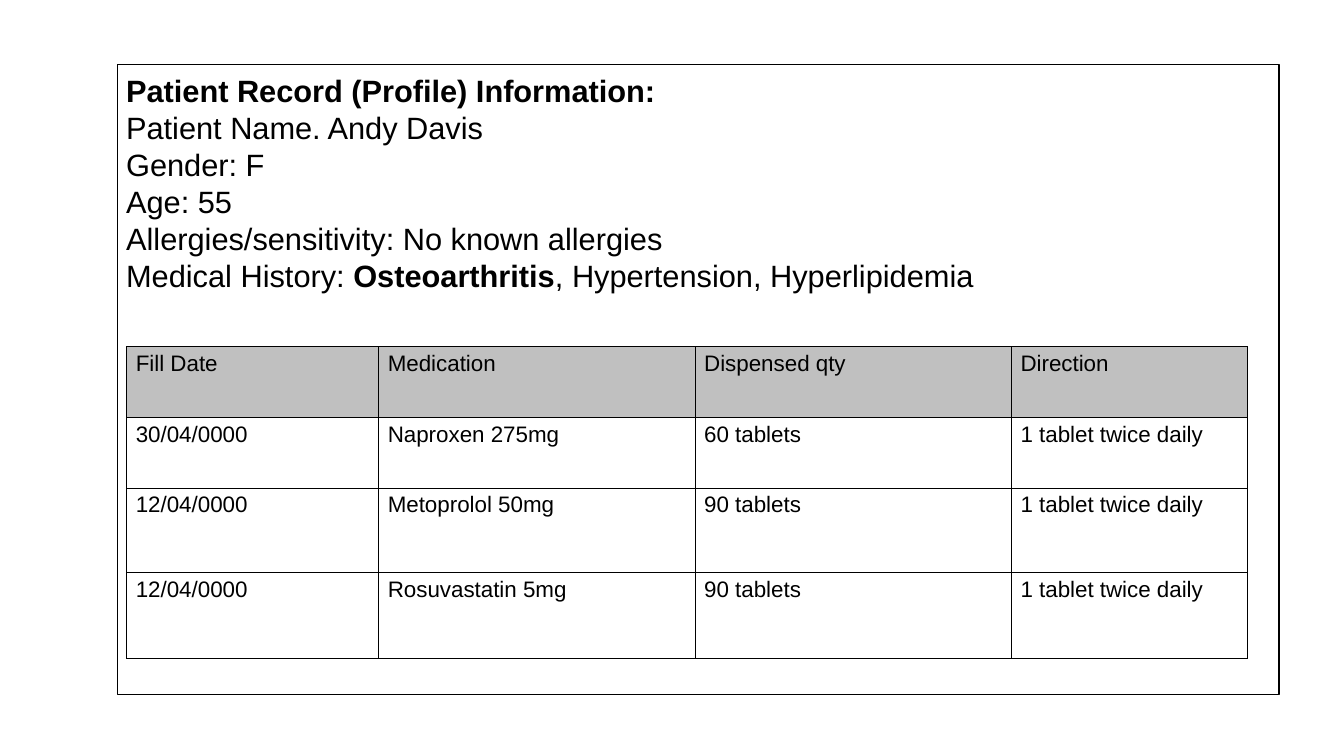
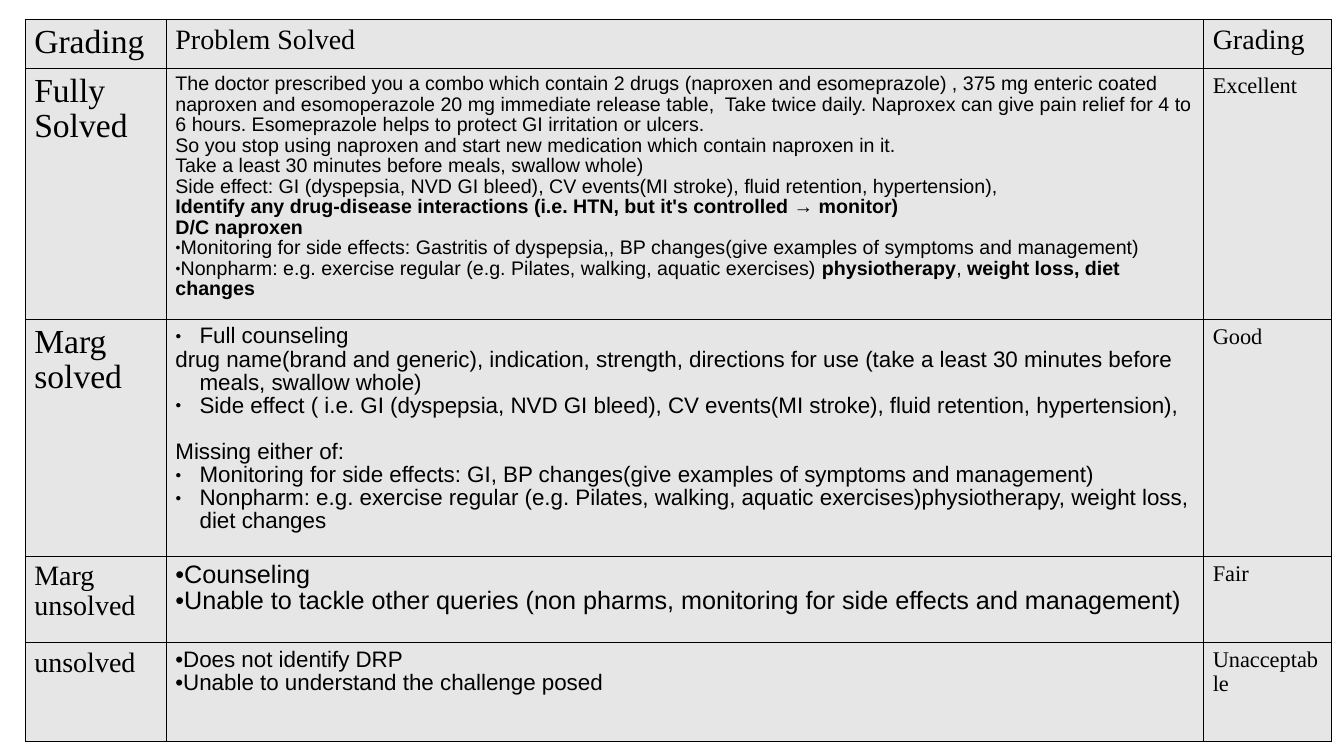
"""Build a patient record slide and a grading table slide."""
import lxml.etree
import pptx
import pptx.dml.color
import pptx.enum.text
import pptx.oxml.ns
import pptx.util

Pt = pptx.util.Pt
BLACK, GREY, PALE, WHITE = "000000", "C0C0C0", "E6E6E6", "FFFFFF"
SANS, SERIF = "Arial", "Times New Roman"
BULLETS = {"●": "45000", "•": "100000"}
CELL = {"margin_left": Pt(6.5), "margin_right": Pt(6.5),
        "margin_top": Pt(4.6), "margin_bottom": Pt(3.6)}
FRAME = {"margin_left": Pt(6.5), "margin_right": Pt(6.5),
         "margin_top": Pt(5), "margin_bottom": Pt(3), "word_wrap": True,
         "auto_size": pptx.enum.text.MSO_AUTO_SIZE.NONE,
         "vertical_anchor": pptx.enum.text.MSO_ANCHOR.TOP}
LINE = 26.4

RECORD = ["Patient Name. Andy Davis", "Gender: F", "Age: 55",
          "Allergies/sensitivity: No known allergies",
          "Medical History: **Osteoarthritis**, Hypertension, Hyperlipidemia"]
FILLS = [
    ["Fill Date", "Medication", "Dispensed qty", "Direction"],
    ["30/04/0000", "Naproxen 275mg", "60 tablets", "1 tablet twice daily"],
    ["12/04/0000", "Metoprolol 50mg", "90 tablets", "1 tablet twice daily"],
    ["12/04/0000", "Rosuvastatin 5mg", "90 tablets", "1 tablet twice daily"],
]
FULL = [
    "The doctor prescribed you a combo which contain 2 drugs (naproxen and esomeprazole) , "
    "375 mg enteric coated naproxen and esomoperazole 20 mg immediate release table,  "
    "Take twice daily. Naproxex can give pain relief for 4 to 6 hours. "
    "Esomeprazole helps to protect GI irritation or ulcers.",
    "So you stop using naproxen and start new medication which contain naproxen in it.",
    "Take a least 30 minutes before meals, swallow whole)",
    "Side effect: GI (dyspepsia, NVD GI bleed), CV events(MI stroke), "
    "fluid retention, hypertension),",
    "**Identify any drug-disease interactions (i.e. HTN, but it's controlled → monitor)**",
    "**D/C naproxen**",
    "●Monitoring for side effects: Gastritis of dyspepsia,, "
    "BP changes(give examples of symptoms and management)",
    "●Nonpharm: e.g. exercise regular (e.g. Pilates, walking, aquatic exercises) "
    "**physiotherapy**, **weight loss, diet changes**",
]
MARG = [
    "●Full counseling",
    "drug name(brand and generic), indication, strength, directions for use "
    "(take a least 30 minutes before meals, swallow whole)",
    "●Side effect ( i.e. GI (dyspepsia, NVD GI bleed), CV events(MI stroke), "
    "fluid retention, hypertension),",
    "Missing either of:",
    "●Monitoring for side effects: GI, BP changes(give examples of symptoms and management)",
    "●Nonpharm: e.g. exercise regular (e.g. Pilates, walking, aquatic exercises)"
    "physiotherapy, weight loss, diet changes",
]
FAIR = ["•Counseling",
        "•Unable to tackle other queries (non pharms, monitoring for side effects "
        "and management)"]
POOR = ["•Does not identify DRP", "•Unable to understand the challenge posed"]
GRADES = [
    (24, ["Fully Solved"], 14, FULL, 0, "Excellent"),
    (24, ["Marg", "solved"], 16, MARG, 17.28, "Good"),
    (20, ["Marg", "unsolved"], 18, FAIR, 0, "Fair"),
    (20, ["unsolved"], 16, POOR, 0, "Unacceptable"),
]


def color(code):
    """Turn a hex string into a colour."""
    return pptx.dml.color.RGBColor.from_string(code)


def assign(item, form):
    """Set each format value on the item."""
    for key, value in form.items():
        setattr(item, key, value)


def node(base, tag, **attrs):
    """Append a drawing element to the base."""
    return lxml.etree.SubElement(base, pptx.oxml.ns.qn("a:" + tag), attrs)


def mark(para, sign, hang):
    """Give the paragraph its indent and its bullet, if any."""
    props = para._p.get_or_add_pPr()
    props.set("marL", str(Pt(hang)))
    props.set("indent", str(-Pt(hang)))
    if sign:
        node(node(props, "buClr"), "srgbClr", val=BLACK)
        node(props, "buSzPct", val=BULLETS[sign])
        node(props, "buFont", typeface=SANS)
        node(props, "buChar", char=sign)
    else:
        node(props, "buNone")


def write(frame, lines, size, face, space, hang=0, bold=False):
    """Fill a frame with lines, where ** toggles bold and a lead sign is a bullet."""
    for num, line in enumerate(lines):
        para = frame.paragraphs[0] if num == 0 else frame.add_paragraph()
        assign(para, {"line_spacing": space, "space_before": Pt(0),
                      "alignment": pptx.enum.text.PP_ALIGN.LEFT})
        sign = line[0] if line[0] in BULLETS else ""
        mark(para, sign, hang)
        for odd, piece in enumerate(line[len(sign):].split("**")):
            if piece:
                run = para.add_run()
                run.text = piece
                assign(run.font, {"size": Pt(size), "name": face,
                                  "bold": bold or odd % 2 == 1})
                run.font.color.rgb = color(BLACK)


def place(holder, left, top, width, height):
    """Move a placeholder and prepare its text frame."""
    assign(holder, {"left": Pt(left), "top": Pt(top),
                    "width": Pt(width), "height": Pt(height)})
    assign(holder.text_frame, FRAME)
    return holder


def grid(slide, left, top, cols, rows):
    """Add a table with the given column widths and row heights."""
    table = slide.shapes.add_table(len(rows), len(cols), Pt(left), Pt(top),
                                   Pt(sum(cols)), Pt(sum(rows))).table
    table.horz_banding = False
    for col, width in zip(table.columns, cols):
        col.width = Pt(width)
    for row, height in zip(table.rows, rows):
        row.height = Pt(height)
    return table


def fill(cell, lines, size, face, back, hang=0):
    """Write, border and fill one cell."""
    assign(cell, CELL)
    props = cell._tc.get_or_add_tcPr()
    for side in ("lnL", "lnR", "lnT", "lnB"):
        edge = node(props, side, w=str(Pt(0.57)))
        node(node(edge, "solidFill"), "srgbClr", val=BLACK)
    cell.fill.solid()
    cell.fill.fore_color.rgb = color(back)
    space = 0.93 if face == SANS else 0.95
    write(cell.text_frame, lines, size, face, space, hang)


def record(deck):
    """Add the patient record slide."""
    slide = deck.slides.add_slide(deck.slide_layouts[1])
    left, top, width = 83.6, 46.2, 830
    title = place(slide.shapes.title, left, top, width, LINE + 8)
    write(title.text_frame, ["Patient Record (Profile) Information:"],
          22, SANS, Pt(LINE), bold=True)
    body = place(slide.placeholders[1], left, top, width, 450)
    body.line.color.rgb = color(BLACK)
    body.line.width = Pt(0.75)
    body.text_frame.margin_top = Pt(5 + LINE)
    write(body.text_frame, RECORD, 22, SANS, Pt(LINE))
    table = grid(slide, 90.5, 247.7, [180, 226, 226, 168.5], [50.4, 50.4, 60.2, 61.4])
    for row, texts in enumerate(FILLS):
        for col, text in enumerate(texts):
            fill(table.cell(row, col), [text], 16, SANS, WHITE if row else GREY)


def grading(deck):
    """Add the grading slide."""
    slide = deck.slides.add_slide(deck.slide_layouts[6])
    table = grid(slide, 18, 13.8, [100.8, 741, 91.2], [34.8, 179.3, 169.2, 61.7, 70.8])
    for col, (text, size) in enumerate([("Grading", 24), ("Problem Solved", 20),
                                        ("Grading", 20)]):
        fill(table.cell(0, col), [text], size, SERIF, PALE)
    for row, (big, name, size, lines, hang, grade) in enumerate(GRADES, 1):
        fill(table.cell(row, 0), name, big, SERIF, PALE)
        fill(table.cell(row, 1), lines, size, SANS, PALE, hang)
        fill(table.cell(row, 2), [grade], 16, SERIF, PALE)
    gap = MARG.index("Missing either of:")
    table.cell(2, 1).text_frame.paragraphs[gap].space_before = Pt(16.4)


def main():
    """Build and save the deck."""
    deck = pptx.Presentation()
    assign(deck, {"slide_width": Pt(960), "slide_height": Pt(540)})
    record(deck)
    grading(deck)
    deck.save("out.pptx")


if __name__ == "__main__":
    main()
